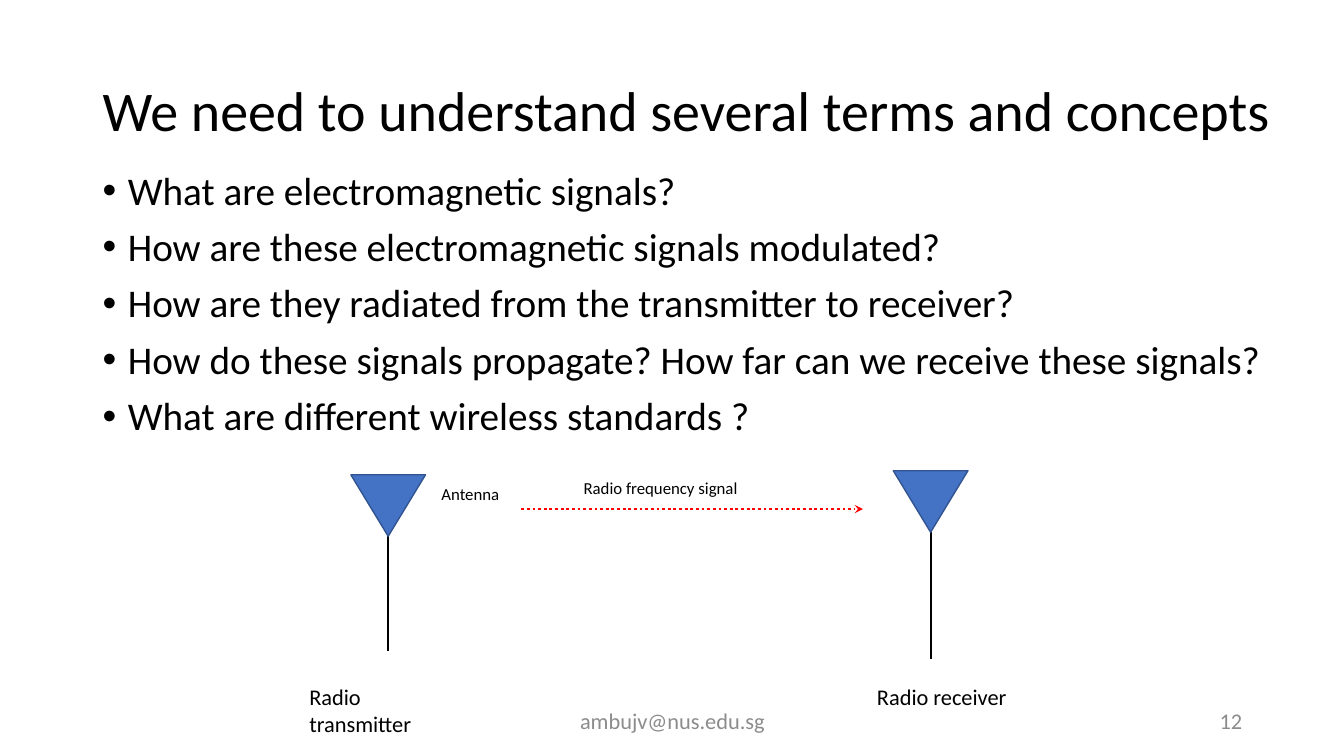
from lxml import etree
from pptx import Presentation
from pptx.dml.color import RGBColor
from pptx.enum.dml import MSO_LINE
from pptx.enum.shapes import MSO_CONNECTOR, MSO_SHAPE
from pptx.enum.text import MSO_ANCHOR, PP_ALIGN
from pptx.oxml.ns import qn
from pptx.util import Inches, Pt

BLACK = RGBColor(0x00, 0x00, 0x00)
GRAY = RGBColor(0x8C, 0x8C, 0x8C)
RED = RGBColor(0xFF, 0x00, 0x00)
BLUE = RGBColor(0x44, 0x72, 0xC4)
NAVY = RGBColor(0x32, 0x54, 0x91)
TOP, MIDDLE = MSO_ANCHOR.TOP, MSO_ANCHOR.MIDDLE
LEFT, CENTER, RIGHT = PP_ALIGN.LEFT, PP_ALIGN.CENTER, PP_ALIGN.RIGHT
STRAIGHT = MSO_CONNECTOR.STRAIGHT
TRIANGLE = MSO_SHAPE.ISOSCELES_TRIANGLE
DOTS = MSO_LINE.ROUND_DOT

FONT = "Calibri"
TERMS = [
    "What are electromagnetic signals?",
    "How are these electromagnetic signals modulated?",
    "How are they radiated from the transmitter to receiver?",
    "How do these signals propagate? How far can we receive these signals?",
    "What are different wireless standards ?",
]


def add_text(slide, box, lines, size, color=BLACK, align=LEFT, anchor=TOP,
             spacing=1.0, bullet=False):
    frame = slide.shapes.add_textbox(*map(Inches, box)).text_frame
    frame.word_wrap = True
    frame.vertical_anchor = anchor
    for index, line in enumerate(lines):
        para = frame.paragraphs[0] if index == 0 else frame.add_paragraph()
        para.text = line
        para.alignment = align
        para.line_spacing = spacing
        if index:
            para.space_before = Pt(10)
        if bullet:
            add_bullet(para)
        para.font.name = FONT
        para.font.size = Pt(size)
        para.font.color.rgb = color


def add_bullet(para):
    props = para._p.get_or_add_pPr()
    props.set("marL", str(Inches(0.25)))
    props.set("indent", str(Inches(-0.25)))
    etree.SubElement(props, qn("a:buFont")).set("typeface", "Arial")
    etree.SubElement(props, qn("a:buChar")).set("char", "•")


def add_line(slide, start, end, color, width):
    line = slide.shapes.add_connector(STRAIGHT, *map(Inches, start + end))
    line.line.color.rgb = color
    line.line.width = Pt(width)
    etree.SubElement(line._element.spPr, qn("a:effectLst"))
    return line


def add_signal(slide, start, end):
    signal = add_line(slide, start, end, RED, 2)
    signal.line.dash_style = DOTS
    tail = etree.SubElement(signal.line._get_or_add_ln(), qn("a:tailEnd"))
    tail.set("type", "stealth")


def add_tower(slide, center, top, foot):
    width, height = 0.74, 0.61
    add_line(slide, (center, top + height), (center, foot), BLACK, 1.5)
    box = (center - width / 2, top, width, height)
    dish = slide.shapes.add_shape(TRIANGLE, *map(Inches, box))
    dish.rotation = 180
    dish.shadow.inherit = False
    dish.fill.solid()
    dish.fill.fore_color.rgb = BLUE
    dish.line.color.rgb = NAVY
    dish.line.width = Pt(1)


def main():
    deck = Presentation()
    deck.slide_width = Inches(13.33)
    deck.slide_height = Inches(7.5)
    slide = deck.slides.add_slide(deck.slide_layouts[6])

    add_text(slide, (0.92, 0.4, 11.99, 1.45),
             ["We need to understand several terms and concepts"], 40,
             anchor=MIDDLE, spacing=0.9)
    add_text(slide, (0.92, 1.65, 12.23, 2.49), TERMS, 28,
             spacing=0.9, bullet=True)

    add_tower(slide, 3.85, 4.71, 6.46)
    add_tower(slide, 9.23, 4.67, 6.54)
    add_signal(slide, (5.17, 5.05), (8.56, 5.05))

    add_text(slide, (4.28, 4.75, 0.89, 0.3), ["Antenna"], 12)
    add_text(slide, (5.69, 4.69, 1.94, 0.3), ["Radio frequency signal"], 12)
    add_text(slide, (2.97, 6.73, 1.76, 0.37), ["Radio transmitter"], 16)
    add_text(slide, (8.6, 6.73, 1.6, 0.37), ["Radio receiver"], 16)

    add_text(slide, (4.42, 6.95, 4.5, 0.4), ["ambujv@nus.edu.sg"], 16,
             GRAY, CENTER, MIDDLE)
    add_text(slide, (9.42, 6.95, 3, 0.4), ["12"], 16, GRAY, RIGHT, MIDDLE)
    deck.save("out.pptx")


if __name__ == "__main__":
    main()
